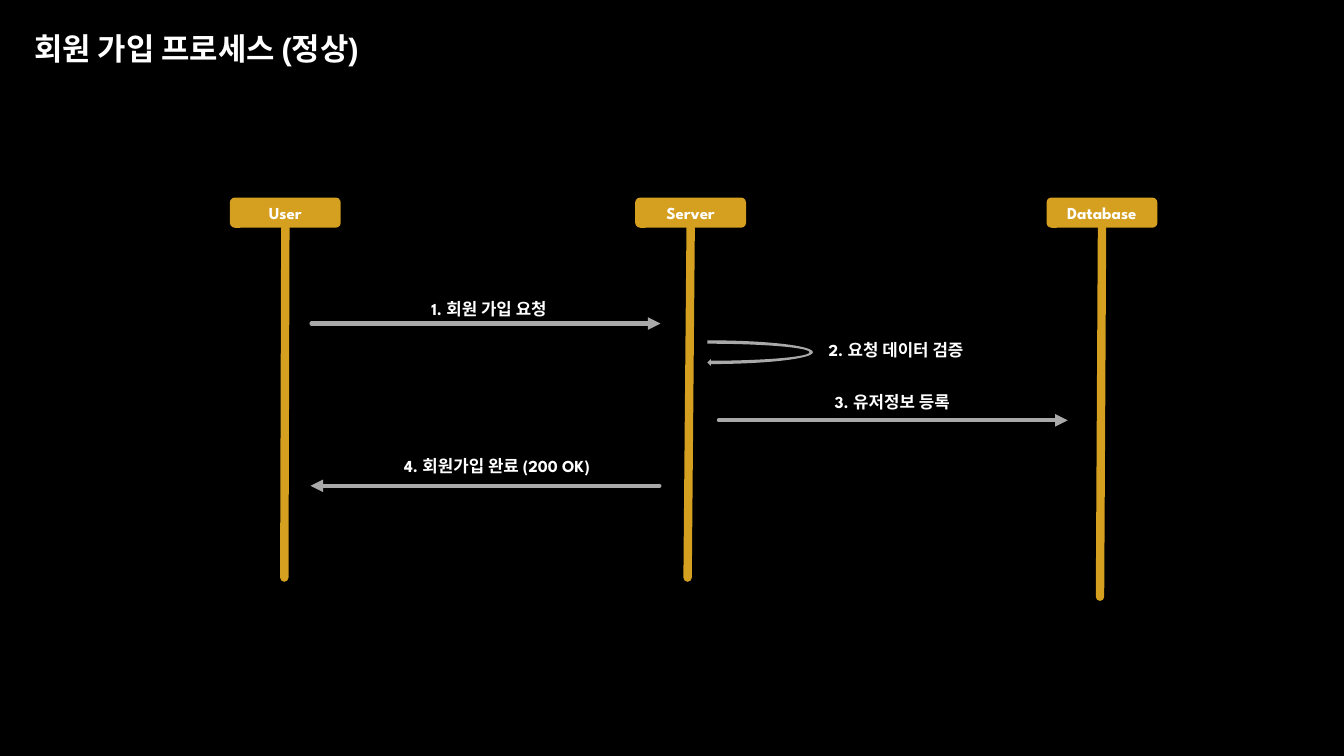
from dataclasses import dataclass

from pptx import Presentation
from pptx.dml.color import RGBColor
from pptx.enum.shapes import MSO_CONNECTOR, MSO_SHAPE
from pptx.enum.text import MSO_ANCHOR, MSO_AUTO_SIZE, PP_ALIGN
from pptx.oxml.ns import qn
from pptx.oxml.xmlchemy import OxmlElement
from pptx.util import Inches, Pt


@dataclass(frozen=True)
class Theme:
    background: str = "000000"
    text: str = "FFFFFF"
    actor: str = "D59F20"
    message: str = "A9A9A9"
    title_font: str = "Arial"
    body_font: str = "League Spartan"
    title_size: int = 22
    body_size: int = 12
    lifeline_width: int = 6
    message_width: int = 3


def write_text(shape, text, *, font, size, color, align=PP_ALIGN.LEFT,
               anchor=MSO_ANCHOR.TOP, fit=False):
    frame = shape.text_frame
    frame.vertical_anchor = anchor
    if fit:
        frame.word_wrap = False
        frame.auto_size = MSO_AUTO_SIZE.SHAPE_TO_FIT_TEXT
    para = frame.paragraphs[0]
    para.alignment = align
    span = para.add_run()
    span.text = text
    span.font.name = font
    span.font.size = Pt(size)
    span.font.bold = True
    span.font.color.rgb = RGBColor.from_string(color)


class SequenceSlide:
    def __init__(self, deck, theme):
        self.theme = theme
        self.page = deck.slides.add_slide(deck.slide_layouts[5])
        fill = self.page.background.fill
        fill.solid()
        fill.fore_color.rgb = RGBColor.from_string(theme.background)

    def title(self, text, left, top, width, height):
        box = self.page.shapes.title
        box.left, box.top = Inches(left), Inches(top)
        box.width, box.height = Inches(width), Inches(height)
        write_text(box, text, font=self.theme.title_font,
                   size=self.theme.title_size, color=self.theme.text, fit=True)

    def label(self, text, left, top, width):
        box = self.page.shapes.add_textbox(
            Inches(left), Inches(top), Inches(width), Inches(0.3))
        write_text(box, text, font=self.theme.body_font,
                   size=self.theme.body_size, color=self.theme.text, fit=True)

    def shape(self, kind, left, top, width, height, color):
        shape = self.page.shapes.add_shape(
            kind, Inches(left), Inches(top), Inches(width), Inches(height))
        shape.shadow.inherit = False
        shape.fill.solid()
        shape.fill.fore_color.rgb = RGBColor.from_string(color)
        shape.line.fill.background()
        return shape

    def line(self, start, end, color, width, arrow=False):
        line = self.page.shapes.add_connector(
            MSO_CONNECTOR.STRAIGHT, *(Inches(value) for value in (*start, *end)))
        line.line.color.rgb = RGBColor.from_string(color)
        line.line.width = Pt(width)
        properties = line._element.spPr
        outline = properties.find(qn("a:ln"))
        outline.set("cap", "rnd")
        if arrow:
            head = OxmlElement("a:tailEnd")
            head.set("type", "triangle")
            outline.append(head)
        properties.append(OxmlElement("a:effectLst"))
        return line

    def actor(self, name, left, foot):
        top, width, height = 1.96, 1.1, 0.3
        box = self.shape(MSO_SHAPE.ROUNDED_RECTANGLE, left, top, width, height,
                         self.theme.actor)
        write_text(box, name, font=self.theme.body_font,
                   size=self.theme.body_size, color=self.theme.text,
                   align=PP_ALIGN.CENTER, anchor=MSO_ANCHOR.MIDDLE)
        lifeline = self.line((left + width / 2, top + height), foot,
                             self.theme.actor, self.theme.lifeline_width)
        lifeline.begin_connect(box, 2)

    def message(self, start_x, end_x, y):
        self.line((start_x, y), (end_x, y), self.theme.message,
                  self.theme.message_width, arrow=True)

    def self_call(self, left, top, width, height):
        arrow = self.shape(MSO_SHAPE.CIRCULAR_ARROW, left, top, width, height,
                           self.theme.message)
        arrow.rotation = 90


def main():
    deck = Presentation()
    deck.slide_width, deck.slide_height = Inches(13.33), Inches(7.5)
    slide = SequenceSlide(deck, Theme())
    slide.title("회원 가입 프로세스 (정상)", 0.24, 0.24, 3.83, 0.47)

    # Actors with their lifelines
    for name, left, foot in (
        ("User", 2.28, (2.82, 5.73)),
        ("Server", 6.3, (6.82, 5.73)),
        ("Database", 10.38, (10.91, 5.92)),
    ):
        slide.actor(name, left, foot)

    # Messages between actors, and the server's call to itself
    for start_x, end_x, y in ((3.09, 6.55, 3.21), (7.13, 10.59, 4.17),
                              (6.54, 3.08, 4.82)):
        slide.message(start_x, end_x, y)
    slide.self_call(6.88, 2.43, 0.27, 2.13)

    # Step labels
    for text, left, top, width in (
        ("1. 회원 가입 요청", 4.18, 2.91, 1.5),
        ("2. 요청 데이터 검증", 8.12, 3.32, 1.66),
        ("3. 유저정보 등록", 8.18, 3.84, 1.45),
        ("4. 회원가입 완료 (200 OK)", 3.91, 4.47, 2.2),
    ):
        slide.label(text, left, top, width)

    deck.save("out.pptx")


if __name__ == "__main__":
    main()
